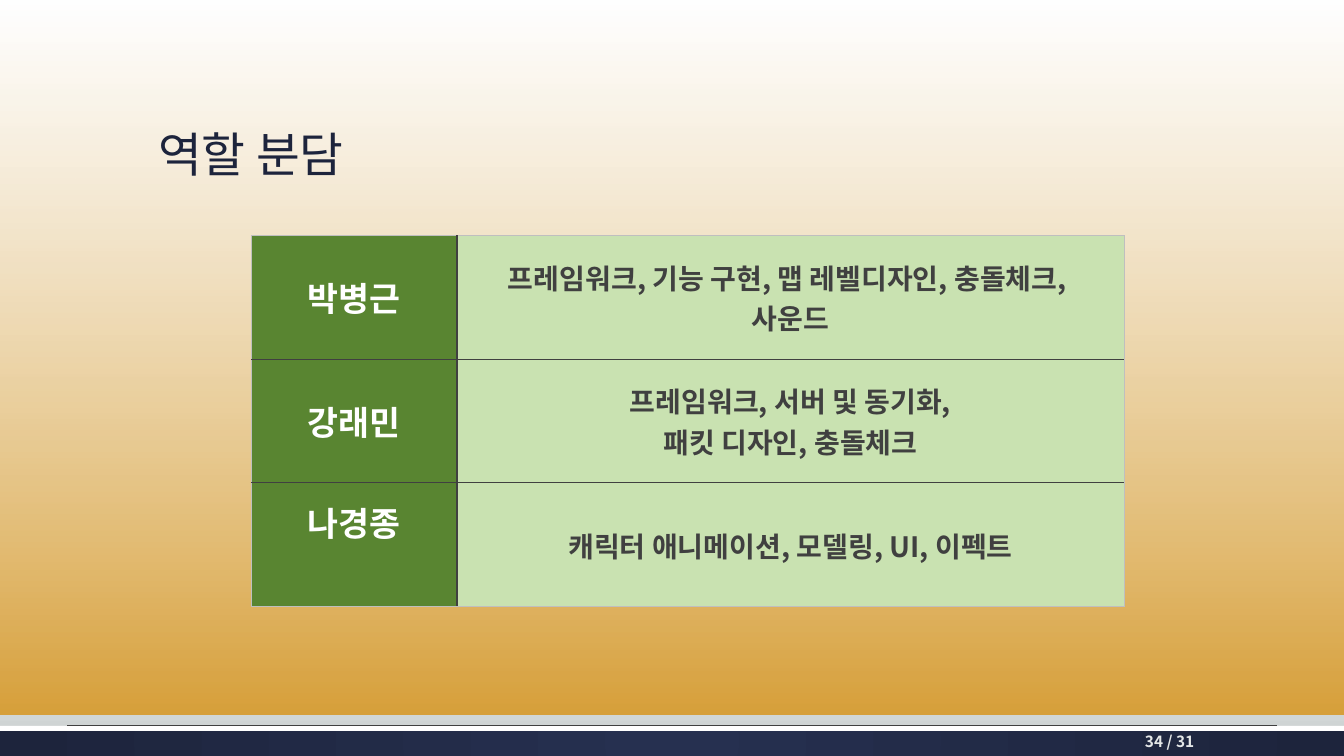
from lxml import etree
from pptx import Presentation
from pptx.dml.color import RGBColor
from pptx.enum.shapes import MSO_CONNECTOR, MSO_SHAPE
from pptx.enum.text import MSO_ANCHOR, PP_ALIGN
from pptx.oxml.ns import qn
from pptx.util import Cm, Pt

RECT, STRAIGHT = MSO_SHAPE.RECTANGLE, MSO_CONNECTOR.STRAIGHT
TOP, MIDDLE, BOTTOM = MSO_ANCHOR.TOP, MSO_ANCHOR.MIDDLE, MSO_ANCHOR.BOTTOM
LEFT, CENTER, RIGHT = PP_ALIGN.LEFT, PP_ALIGN.CENTER, PP_ALIGN.RIGHT

FONT = "Noto Sans CJK KR"
C = {"white": "FFFFFF", "mist": "E5E8E8", "silver": "CDD2D2", "navy": "1D243C",
     "blue": "263050", "amber": "DA8C00", "text": "404040", "edge": "BFBFBF",
     "name": "598531", "role": "C9E2B1"}
WIDTH, HEIGHT = 33.87, 19.05
ROLES = [
    ("박병근", ["프레임워크, 기능 구현, 맵 레벨디자인, 충돌체크, ", "사운드"]),
    ("강래민", ["프레임워크, 서버 및 동기화,", "패킷 디자인, 충돌체크"]),
    ("나경종", ["캐릭터 애니메이션, 모델링, UI, 이펙트"]),
]


def rgb(name):
    return RGBColor.from_string(C[name])


def set_gradient(fill, element, stops, radial=False):
    """Fill element with (position %, colour, opacity %) stops, downwards or from the centre."""
    fill.solid()
    fill.fore_color.rgb = rgb("white")
    solid = next(element.iter(qn("a:solidFill")))
    grad = etree.Element(qn("a:gradFill"), rotWithShape="1")
    gs_list = etree.SubElement(grad, qn("a:gsLst"))
    for pos, color, opacity in stops:
        gs = etree.SubElement(gs_list, qn("a:gs"), pos=str(pos * 1000))
        clr = etree.SubElement(gs, qn("a:srgbClr"), val=C[color])
        if opacity < 100:
            etree.SubElement(clr, qn("a:alpha"), val=str(opacity * 1000))
    if radial:
        path = etree.SubElement(grad, qn("a:path"), path="circle")
        etree.SubElement(path, qn("a:fillToRect"),
                         {side: "50000" for side in "ltrb"})
    else:
        etree.SubElement(grad, qn("a:lin"), ang="5400000", scaled="0")
    solid.getparent().replace(solid, grad)


def write(tf, lines, size, color, align, bold=False):
    for i, line in enumerate(lines):
        p = tf.paragraphs[0] if i == 0 else tf.add_paragraph()
        p.alignment = align
        r = p.add_run()
        r.text = line
        font = r.font
        font.name, font.size, font.bold = FONT, Pt(size), bold
        font.color.rgb = rgb(color)
        etree.SubElement(r._r.get_or_add_rPr(), qn("a:ea"), typeface=FONT)


def add_rect(s, x, y, w, h):
    sp = s.shapes.add_shape(RECT, Cm(x), Cm(y), Cm(w), Cm(h))
    sp.shadow.inherit = False
    sp.line.fill.background()
    return sp


def add_backdrop(s):
    bg = s.background
    set_gradient(bg.fill, s._element,
                 [(0, "white", 100), (72, "mist", 100), (100, "silver", 100)])
    glow = add_rect(s, 0, 0, WIDTH, 18.01)
    set_gradient(glow.fill, glow._element, [(0, "white", 51), (100, "amber", 73)])


def add_footer(s, x, y, w, h):
    bar = add_rect(s, x, y, w, h)
    set_gradient(bar.fill, bar._element,
                 [(0, "blue", 100), (100, "navy", 100)], radial=True)
    stripe = add_rect(s, x, y, w, 0.13)
    stripe.fill.solid()
    stripe.fill.fore_color.rgb = rgb("white")

    rule = s.shapes.add_connector(STRAIGHT, Cm(x + 1.7), Cm(y - 0.02),
                                  Cm(x + w - 1.7), Cm(y - 0.02))
    rule.line.color.rgb = rgb("text")
    rule.line.width = Pt(0.75)
    etree.SubElement(rule._element.spPr, qn("a:effectLst"))

    number = s.shapes.add_textbox(Cm(x + 28.37), Cm(y + 0.05), Cm(1.98), Cm(0.66))
    tf = number.text_frame
    tf.word_wrap = True
    tf.vertical_anchor = MIDDLE
    tf.margin_top = tf.margin_bottom = 0
    write(tf, ["34 / 31"], 11, "mist", RIGHT, bold=True)


def format_title(s, x, y, w, h):
    title = s.shapes.title
    title.left, title.top, title.width, title.height = Cm(x), Cm(y), Cm(w), Cm(h)
    tf = title.text_frame
    tf.word_wrap = True
    tf.vertical_anchor = BOTTOM
    write(tf, ["역할 분담"], 34, "navy", LEFT)
    tf.paragraphs[0].line_spacing = 0.9


def set_border(cell, side, color, width):
    ln = etree.SubElement(cell._tc.get_or_add_tcPr(), qn(f"a:ln{side}"),
                          w=str(Pt(width)))
    fill = etree.SubElement(ln, qn("a:solidFill"))
    etree.SubElement(fill, qn("a:srgbClr"), val=C[color])


def add_role_table(s, x, y, w, h):
    name_width, last = 5.18, len(ROLES) - 1
    table = s.shapes.add_table(len(ROLES), 2, Cm(x), Cm(y), Cm(w), Cm(h)).table
    table.first_row = table.horz_banding = False
    table.columns[0].width = Cm(name_width)
    table.columns[1].width = Cm(w - name_width)
    inner, divider, outer = ("text", 1), ("text", 1.5), ("edge", 0.5)
    for i, (name, tasks) in enumerate(ROLES):
        table.rows[i].height = Cm(h / len(ROLES))
        columns = [([name], 24, "white", "name"), (tasks, 20, "text", "role")]
        for j, (lines, size, color, fill) in enumerate(columns):
            cell = table.cell(i, j)
            set_border(cell, "L", *(divider if j else outer))
            set_border(cell, "R", *(outer if j else divider))
            set_border(cell, "T", *(inner if i else outer))
            set_border(cell, "B", *(inner if i < last else outer))
            cell.fill.solid()
            cell.fill.fore_color.rgb = rgb(fill)
            cell.vertical_anchor = MIDDLE
            write(cell.text_frame, lines, size, color, CENTER, bold=True)
    last_name = table.cell(last, 0)
    last_name.vertical_anchor = TOP
    last_name.margin_top = Cm(0.38)


def main():
    prs = Presentation()
    prs.slide_width, prs.slide_height = Cm(WIDTH), Cm(HEIGHT)
    s = prs.slides.add_slide(prs.slide_layouts[5])
    add_backdrop(s)
    add_footer(s, 0, 18.29, WIDTH, 0.76)
    format_title(s, 3.73, 1.3, 26.42, 3.43)
    add_role_table(s, 6.33, 5.93, 22, 9.36)
    # The title placeholder comes first in the tree, so bring it above the backdrop.
    s.shapes._spTree.append(s.shapes.title._element)
    prs.save("out.pptx")


if __name__ == "__main__":
    main()
